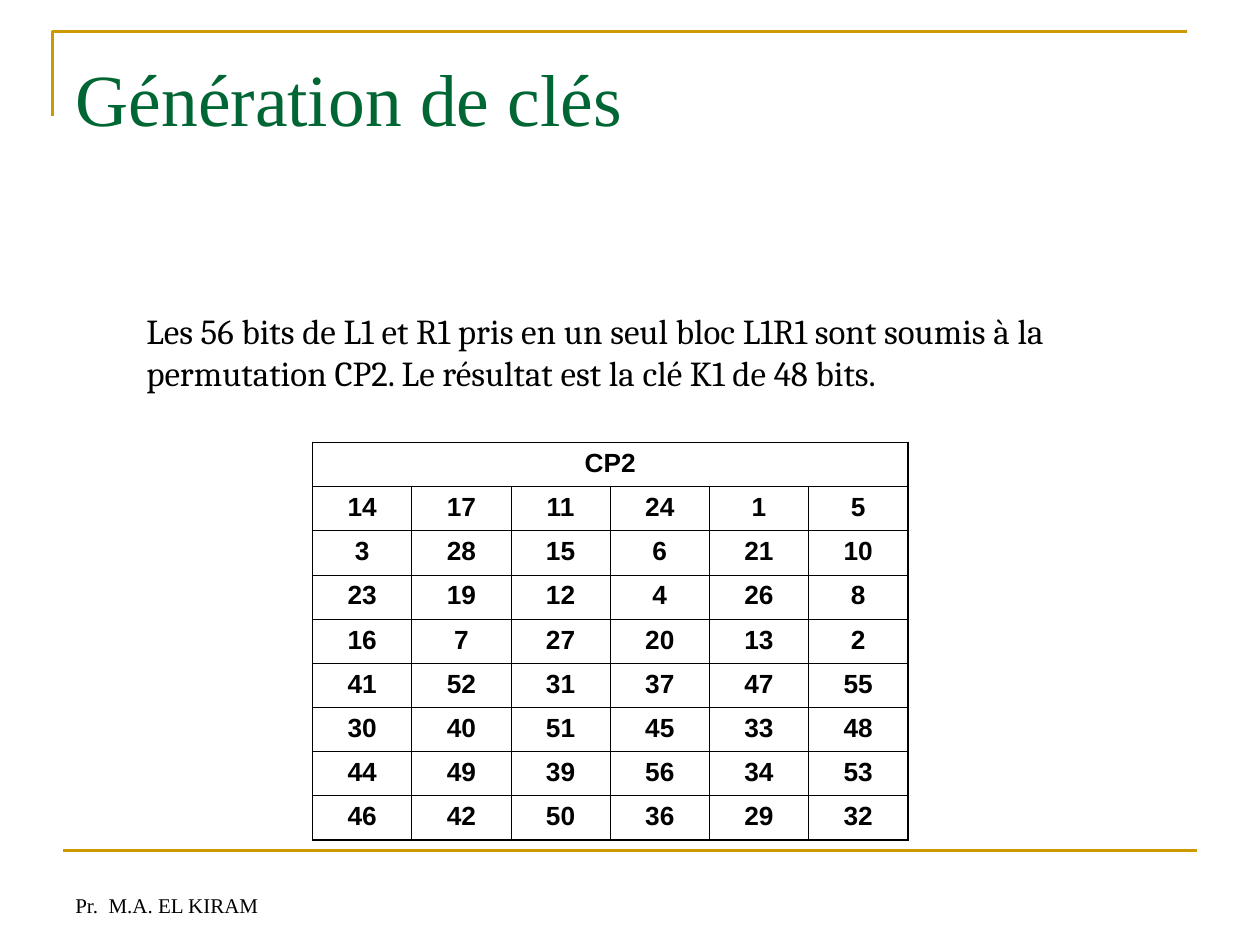
from dataclasses import dataclass

from lxml.etree import SubElement
from pptx import Presentation
from pptx.dml.color import RGBColor
from pptx.enum.shapes import MSO_CONNECTOR
from pptx.enum.text import MSO_ANCHOR, PP_ALIGN
from pptx.oxml import parse_xml
from pptx.oxml.ns import nsdecls, qn
from pptx.util import Cm, Pt


@dataclass(frozen=True)
class Theme:
    gold: RGBColor = RGBColor(0xCC, 0x99, 0x00)
    green: RGBColor = RGBColor(0x00, 0x66, 0x33)
    black: RGBColor = RGBColor(0x00, 0x00, 0x00)
    serif: str = "Times New Roman"
    body_font: str = "Cambria"
    table_font: str = "Arial"
    title_size: float = 42
    body_size: float = 20
    table_size: float = 15
    footer_size: float = 12
    rule_width: float = 1.5
    outer_border: float = 1.08
    inner_border: float = 0.45


class SlideBuilder:
    def __init__(self, prs, theme):
        self.theme = theme
        self.s = prs.slides.add_slide(prs.slide_layouts[5])

    def add_text(self, tf, text, name, size, color, bold=False, align=PP_ALIGN.LEFT):
        p = tf.paragraphs[0]
        p.alignment = align
        r = p.add_run()
        r.text = text
        r.font.color.rgb = color
        for key, value in {"name": name, "size": Pt(size), "bold": bold}.items():
            setattr(r.font, key, value)

    def rule(self, line):
        line.color.rgb = self.theme.gold
        line.width = Pt(self.theme.rule_width)

    def corner(self, left, top, right, bottom):
        fb = self.s.shapes.build_freeform(Cm(left), Cm(bottom))
        fb.add_line_segments([(Cm(left), Cm(top)), (Cm(right), Cm(top))], close=False)
        sp = fb.convert_to_shape()
        sp.shadow.inherit = False
        sp.fill.background()
        self.rule(sp.line)

    def line(self, left, right, y):
        cx = self.s.shapes.add_connector(
            MSO_CONNECTOR.STRAIGHT, Cm(left), Cm(y), Cm(right), Cm(y))
        self.rule(cx.line)
        SubElement(cx._element.spPr, qn("a:effectLst"))

    def title(self, text, left, top, width, height):
        sp = self.s.shapes.title
        box = {"left": left, "top": top, "width": width, "height": height}
        for key, value in box.items():
            setattr(sp, key, Cm(value))
        tf = sp.text_frame
        tf.vertical_anchor = MSO_ANCHOR.TOP
        tf.margin_top = Cm(0.3)
        self.add_text(tf, text, self.theme.serif, self.theme.title_size, self.theme.green)

    def text(self, text, left, top, width, height, name, size, anchor=MSO_ANCHOR.TOP):
        tf = self.s.shapes.add_textbox(
            Cm(left), Cm(top), Cm(width), Cm(height)).text_frame
        for key, value in {"word_wrap": True, "vertical_anchor": anchor}.items():
            setattr(tf, key, value)
        self.add_text(tf, text, name, size, self.theme.black)

    def borders(self, cell, widths):
        tcPr = cell._tc.get_or_add_tcPr()
        for i, (side, width) in enumerate(widths.items()):
            tcPr.insert(i, parse_xml(
                f'<a:ln{side} {nsdecls("a")} w="{Pt(width)}"><a:solidFill>'
                f'<a:srgbClr val="{self.theme.black}"/></a:solidFill></a:ln{side}>'))

    def table(self, heading, values, left, top, col_width, row_height):
        t = self.theme
        rows, cols = len(values) + 1, len(values[0])
        table = self.s.shapes.add_table(
            rows, cols, Cm(left), Cm(top),
            Cm(cols * col_width), Cm(rows * row_height)).table
        for key in ("first_row", "horz_banding"):
            setattr(table, key, False)
        for col in table.columns:
            col.width = Cm(col_width)
        for row in table.rows:
            row.height = Cm(row_height)
        table.cell(0, 0).merge(table.cell(0, cols - 1))
        for i in range(rows):
            for j in range(cols):
                cell = table.cell(i, j)
                cell.fill.background()
                edges = {"L": j == 0, "R": j == cols - 1 or cell.is_merge_origin,
                         "T": i == 0, "B": i == rows - 1}
                self.borders(cell, {
                    side: t.outer_border if outer else t.inner_border
                    for side, outer in edges.items()})
                if cell.is_spanned:
                    continue
                text = heading if i == 0 else str(values[i - 1][j])
                self.add_text(cell.text_frame, text, t.table_font, t.table_size,
                              t.black, True, PP_ALIGN.CENTER)


CP2 = [
    [14, 17, 11, 24, 1, 5],
    [3, 28, 15, 6, 21, 10],
    [23, 19, 12, 4, 26, 8],
    [16, 7, 27, 20, 13, 2],
    [41, 52, 31, 37, 47, 55],
    [30, 40, 51, 45, 33, 48],
    [44, 49, 39, 56, 34, 53],
    [46, 42, 50, 36, 29, 32],
]


def main():
    prs = Presentation()
    prs.slide_width, prs.slide_height = Cm(25.4), Cm(19.05)
    theme = Theme()
    b = SlideBuilder(prs, theme)
    b.corner(1.06, 0.63, 23.92, 2.33)
    b.line(1.27, 24.13, 17.15)
    b.text("Pr.  M.A. EL KIRAM", 1.27, 17.35, 5.93, 1.27,
           theme.serif, theme.footer_size, MSO_ANCHOR.BOTTOM)
    b.title("Génération de clés", 1.27, 0.76, 22.86, 3.18)
    b.text("Les 56 bits de L1 et R1 pris en un seul bloc L1R1 sont soumis à la "
           "permutation CP2. Le résultat est la clé K1 de 48 bits.",
           2.7, 6.12, 19.6, 2.8, theme.body_font, theme.body_size)
    b.table("CP2", CP2, 6.3, 8.92, 2, 0.89)
    prs.save("out.pptx")


if __name__ == "__main__":
    main()
